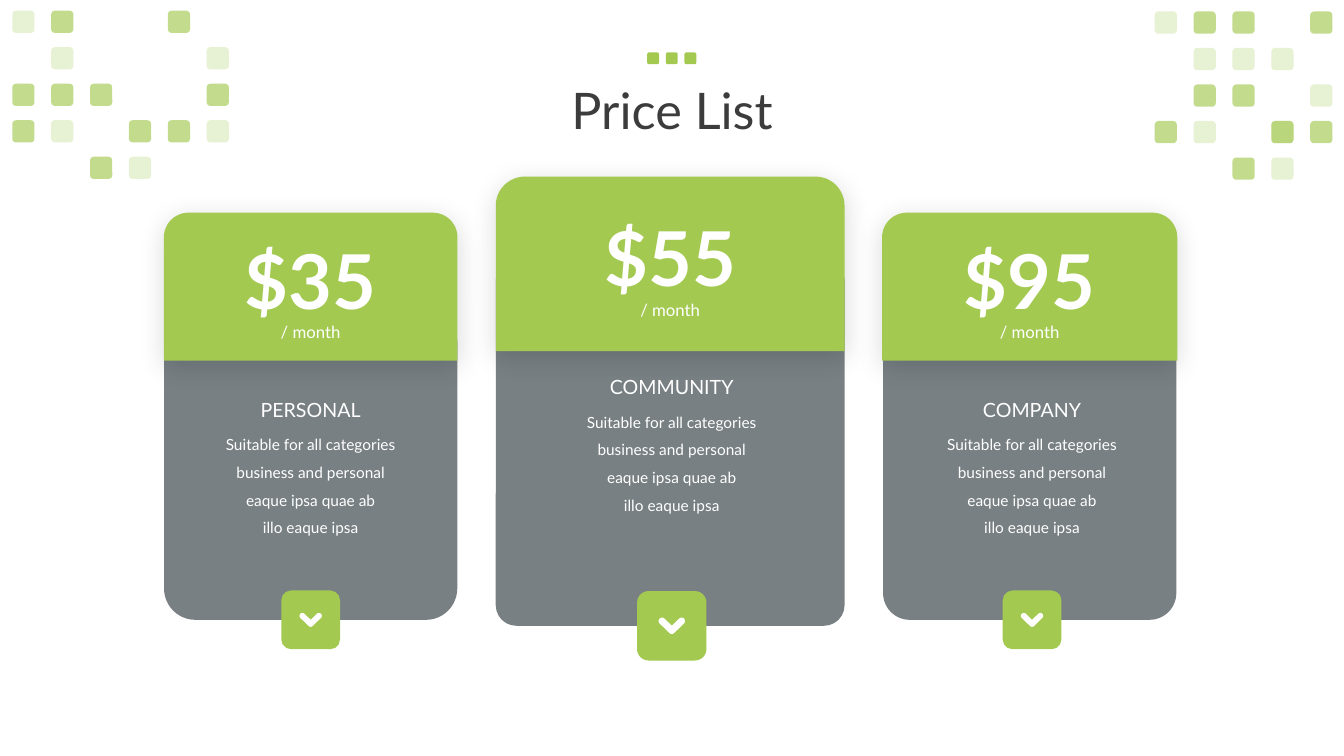
from math import cos, radians, sin, sqrt

from lxml.etree import SubElement
from pptx import Presentation
from pptx.dml.color import RGBColor
from pptx.enum.shapes import MSO_SHAPE as Kind
from pptx.enum.text import MSO_ANCHOR as Anchor, MSO_AUTO_SIZE as Fit, PP_ALIGN as Align
from pptx.oxml.ns import qn
from pptx.util import Cm, Pt

GREEN, SLATE, WHITE, INK = "A3C951", "313C41", "FFFFFF", "3C3C3C"
FONT = "Lato"
TEXT_W = 5.36

PLAN = "Suitable for all categories business and personal\neaque ipsa quae ab\nillo eaque ipsa"

# name, price, head centre, text centre, (head top, width, height),
# (body top, width, height, corner), price top, button side
CARDS = [
    ("PERSONAL", "$35", 7.83, 7.83, (5.36, 7.4, 3.73), (7.82, 7.39, 7.8, 0.107), 5.77, 1.48),
    ("COMMUNITY", "$55", 16.89, 16.93, (4.45, 8.79, 4.4), (6.55, 8.79, 9.22, 0.059), 5.2, 1.75),
    ("COMPANY", "$95", 25.95, 26.01, (5.36, 7.44, 3.73), (7.82, 7.39, 7.8, 0.091), 5.77, 1.48),
]

# Opacity of each mosaic mark; "@" is two tiles on top of each other
TONES = {"o": [25], "#": [65], "@": [65, 25]}
LEFT = ["o#  #", " o   o", "###  #", "#o ##o", "  #o"]
RIGHT = ["o## #", " ooo", " ## o", "#o @#", "  #o"]


def paint(shape, color, alpha=100):
    shape.shadow.inherit = False
    shape.line.fill.background()
    shape.fill.solid()
    shape.fill.fore_color.rgb = RGBColor.from_string(color)
    if alpha < 100:
        tint = shape.element.spPr.find(".//" + qn("a:srgbClr"))
        SubElement(tint, qn("a:alpha"), val=str(alpha * 1000))


def block(shapes, box, color, alpha=100, kind=Kind.ROUNDED_RECTANGLE):
    shape = shapes.add_shape(kind, *map(Cm, box))
    paint(shape, color, alpha)
    return shape


def glow(shape):
    """Soft shadow below a card head."""
    effects = shape.element.spPr.find(qn("a:effectLst"))
    shade = SubElement(effects, qn("a:outerShdw"), blurRad=str(Pt(19)),
                       dist=str(Pt(4)), dir="5400000", algn="t", rotWithShape="0")
    tint = SubElement(shade, qn("a:srgbClr"), val="000000")
    SubElement(tint, qn("a:alpha"), val="15000")


def style(frame, size, color, bold=False, space=1.0):
    frame.word_wrap = True
    for para in frame.paragraphs:
        para.alignment = Align.CENTER
        para.line_spacing = space
        for run in para.runs:
            font = run.font
            font.name, font.size, font.bold = FONT, Pt(size), bold
            font.color.rgb = RGBColor.from_string(color)


def label(shapes, text, mid, top, height, size, **look):
    box = shapes.add_textbox(Cm(mid - TEXT_W / 2), Cm(top), Cm(TEXT_W), Cm(height))
    frame = box.text_frame
    frame.text = text
    style(frame, size, WHITE, **look)
    frame.auto_size = Fit.SHAPE_TO_FIT_TEXT


def arc(x, y, rad, start, end):
    return [(x + rad * cos(radians(a)), y + rad * sin(radians(a)))
            for a in range(start, end + 1, 15)]


def chevron(shapes, x, y, width):
    """Round-ended arrow pointing down, centred on x, y."""
    rad, arm, drop = 0.13, 0.37, 0.18
    points = (arc(-arm, -drop, rad, 135, 315) + [(0, drop - rad * sqrt(2))]
              + arc(arm, -drop, rad, 225, 405) + arc(0, drop, rad, 45, 135))
    points = [(Cm(x + width * px), Cm(y + width * py)) for px, py in points]
    pen = shapes.build_freeform(*points[0])
    pen.add_line_segments(points[1:], close=True)
    paint(pen.convert_to_shape(), WHITE)


def card(shapes, name, price, mid, low, head, body, top, side):
    # Panels
    y, w, h, corner = body
    panel = block(shapes, (mid - w / 2, y, w, h), SLATE, 65)
    panel.adjustments[0] = corner
    base = y + h
    y, w, h = head
    glow(block(shapes, (mid - w / 2, y, w, h), GREEN, kind=Kind.ROUND_2_SAME_RECTANGLE))

    # Texts
    label(shapes, price, mid, top, 2.57, 54, bold=True)
    label(shapes, "/ month", mid, top + 1.97, 0.91, 12, space=1.5)
    label(shapes, PLAN, low, top + 4.84, 3, 11, space=1.5)
    label(shapes, name, low, top + 4.13, 0.86, 14)

    # Button on the lower edge
    block(shapes, (low - side / 2, base - side / 2, side, side), GREEN)
    chevron(shapes, low, base, side * 0.38)


def mosaic(shapes, rows, left, top):
    group = shapes.add_group_shape().shapes
    for r, row in enumerate(rows):
        for c, mark in enumerate(row):
            for tone in TONES.get(mark, []):
                block(group, (left + c * 0.98, top + r * 0.92, 0.56, 0.56), GREEN, tone)


def dots(shapes):
    group = shapes.add_group_shape().shapes
    for i in range(3):
        block(group, (16.31 + i * 0.47, 1.32, 0.3, 0.3), GREEN)


def heading(title):
    title.left, title.top, title.width, title.height = map(Cm, (2.33, 1, 29.21, 3.68))
    frame = title.text_frame
    frame.text = "Price List"
    frame.vertical_anchor = Anchor.MIDDLE
    style(frame, 36, INK, space=0.9)


def main():
    deck = Presentation()
    deck.slide_width, deck.slide_height = Cm(33.87), Cm(19.05)
    slide = deck.slides.add_slide(deck.slide_layouts[5])
    shapes = slide.shapes

    heading(shapes.title)
    for item in CARDS:
        card(shapes, *item)

    # Corner mosaics and title dots
    mosaic(shapes, LEFT, 0.31, 0.27)
    mosaic(shapes, RIGHT, 29.1, 0.29)
    dots(shapes)

    deck.save("out.pptx")


if __name__ == "__main__":
    main()
